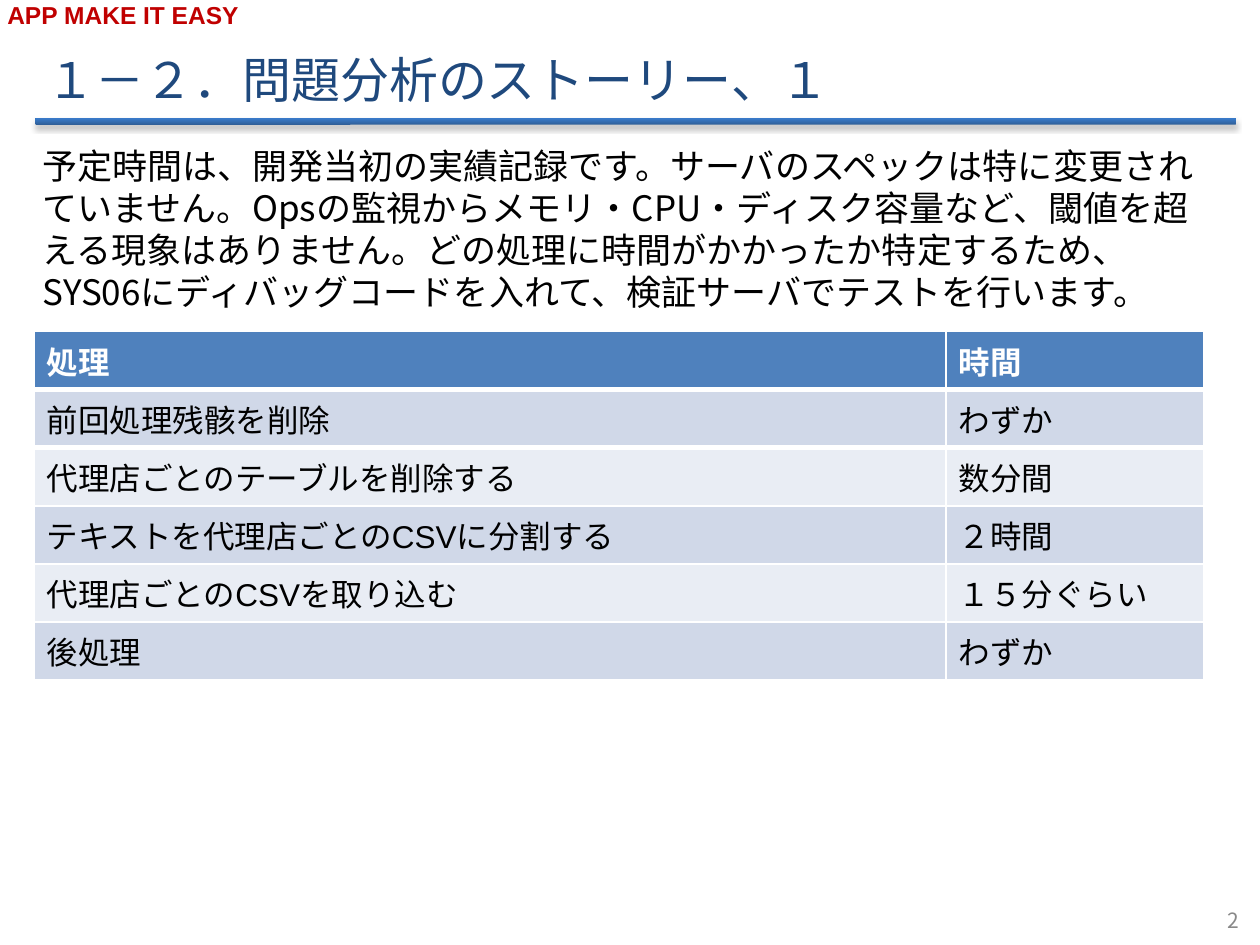
from dataclasses import dataclass

from lxml import etree
from pptx import Presentation
from pptx.dml.color import RGBColor
from pptx.enum.shapes import MSO_SHAPE
from pptx.enum.text import MSO_ANCHOR, MSO_AUTO_SIZE, PP_ALIGN
from pptx.oxml.ns import qn
from pptx.util import Inches, Pt

ROUNDED = MSO_SHAPE.ROUNDED_RECTANGLE
MIDDLE, TOP = MSO_ANCHOR.MIDDLE, MSO_ANCHOR.TOP
LEFT, RIGHT = PP_ALIGN.LEFT, PP_ALIGN.RIGHT
GROW = MSO_AUTO_SIZE.SHAPE_TO_FIT_TEXT
NO_FIT = MSO_AUTO_SIZE.NONE


@dataclass(frozen=True)
class Theme:
    """Fonts, colours and type sizes of the slide."""
    latin: str = "Arial"
    japanese: str = "Noto Sans CJK JP"
    slogan: str = "C00000"
    title: str = "1F497D"
    text: str = "000000"
    number: str = "898989"
    rule_start: str = "2F5F99"
    rule_end: str = "3A7CCB"
    header: str = "4F81BD"
    header_text: str = "FFFFFF"
    border: str = "FFFFFF"
    bands: tuple = ("D0D8E8", "E9EDF4")
    title_size: int = 28
    body_size: int = 20
    table_size: int = 18
    slogan_size: int = 14
    number_size: int = 12


THEME = Theme()

STEPS = [
    ("処理", "時間"),
    ("前回処理残骸を削除", "わずか"),
    ("代理店ごとのテーブルを削除する", "数分間"),
    ("テキストを代理店ごとのCSVに分割する", "２時間"),
    ("代理店ごとのCSVを取り込む", "１５分ぐらい"),
    ("後処理", "わずか"),
]


def add_run(paragraph, text, size, color, font=THEME.japanese, bold=False):
    """Add a formatted run with its Latin and East Asian fonts."""
    run = paragraph.add_run()
    run.text = text
    run.font.size = Pt(size)
    run.font.bold = bold
    run.font.name = font
    run.font.color.rgb = RGBColor.from_string(color)
    east_asian = etree.SubElement(run._r.get_or_add_rPr(), qn("a:ea"))
    east_asian.set("typeface", THEME.japanese)


def add_text(slide, box, align=LEFT, anchor=TOP, fit=GROW):
    """Add a wrapping text box and return its first paragraph."""
    frame = slide.shapes.add_textbox(*map(Inches, box)).text_frame
    frame.word_wrap = True
    frame.auto_size = fit
    frame.vertical_anchor = anchor
    paragraph = frame.paragraphs[0]
    paragraph.alignment = align
    return paragraph


def add_rule(slide, box):
    """Add the shaded bar under the title."""
    rule = slide.shapes.add_shape(ROUNDED, *map(Inches, box))
    rule.line.fill.background()
    rule.fill.gradient()
    rule.fill.gradient_angle = 90
    for stop, color in zip(rule.fill.gradient_stops, (THEME.rule_start, THEME.rule_end)):
        stop.color.rgb = RGBColor.from_string(color)
    rule.shadow.inherit = False
    effects = rule._element.spPr.find(qn("a:effectLst"))
    shadow = etree.SubElement(effects, qn("a:outerShdw"), blurRad=str(Pt(3.1)),
                              dist=str(Pt(1.8)), dir="5400000", rotWithShape="0")
    color = etree.SubElement(shadow, qn("a:srgbClr"), val="000000")
    etree.SubElement(color, qn("a:alpha"), val="35000")


def add_slogan(slide, box):
    """Add the slogan in the top corner."""
    add_run(add_text(slide, box), "APP MAKE IT EASY", THEME.slogan_size,
            THEME.slogan, THEME.latin, True)


def add_title(slide, box):
    """Place and fill the title placeholder."""
    title = slide.shapes.title
    title.left, title.top, title.width, title.height = map(Inches, box)
    frame = title.text_frame
    frame.auto_size = NO_FIT
    frame.vertical_anchor = MIDDLE
    paragraph = frame.paragraphs[0]
    paragraph.alignment = LEFT
    paragraph.line_spacing = 1.1
    paragraph.space_before = Pt(THEME.title_size * 0.25)
    add_run(paragraph, "１－２．問題分析のストーリー、１", THEME.title_size, THEME.title)


def add_body(slide, box):
    """Add the explanatory paragraph."""
    paragraph = add_text(slide, box)
    paragraph.space_after = Pt(6)
    add_run(
        paragraph,
        "予定時間は、開発当初の実績記録です。サーバのスペックは特に変更されていません。"
        "Opsの監視からメモリ・CPU・ディスク容量など、閾値を超える現象はありません。"
        "どの処理に時間がかかったか特定するため、"
        "SYS06にディバッグコードを入れて、検証サーバでテストを行います。",
        THEME.body_size, THEME.text)


def add_border(cell, side, width):
    """Draw one border of a cell ahead of its fill."""
    line = etree.Element(qn(f"a:{side}"), w=str(Pt(width)))
    fill = etree.SubElement(line, qn("a:solidFill"))
    etree.SubElement(fill, qn("a:srgbClr"), val=THEME.border)
    properties = cell._tc.get_or_add_tcPr()
    properties.insert(len(properties.findall(qn("a:lnT"))), line)


def add_steps_table(slide, box, time_width):
    """Add the banded table of steps and their times."""
    table = slide.shapes.add_table(len(STEPS), 2, *map(Inches, box)).table
    table.columns[0].width = Inches(box[2] - time_width)
    table.columns[1].width = Inches(time_width)
    for row, values in enumerate(STEPS):
        is_header = row == 0
        fill = THEME.header if is_header else THEME.bands[(row - 1) % 2]
        color = THEME.header_text if is_header else THEME.text
        for column, value in enumerate(values):
            cell = table.cell(row, column)
            cell.fill.solid()
            cell.fill.fore_color.rgb = RGBColor.from_string(fill)
            add_run(cell.text_frame.paragraphs[0], value, THEME.table_size,
                    color, THEME.latin, is_header)
            if is_header:
                add_border(cell, "lnB", 3)
            elif row == 1:
                add_border(cell, "lnT", 3)


def add_slide_number(slide, box):
    """Add the page number in the bottom corner."""
    add_run(add_text(slide, box, RIGHT, MIDDLE, NO_FIT), "2",
            THEME.number_size, THEME.number)


def main():
    """Build and save the slide."""
    presentation = Presentation()
    presentation.slide_width, presentation.slide_height = Inches(10), Inches(7.5)
    slide = presentation.slides.add_slide(presentation.slide_layouts[5])
    add_rule(slide, (0.28, 0.94, 9.53, 0.05))
    add_slogan(slide, (-0.04, -0.05, 3.54, 0.34))
    add_slide_number(slide, (7.6, 7.1, 2.33, 0.4))
    add_body(slide, (0.24, 1.1, 9.38, 1.45))
    add_title(slide, (0.27, 0.3, 9, 0.61))
    add_steps_table(slide, (0.27, 2.63, 9.28, 2.77), 2.04)
    presentation.save("out.pptx")


if __name__ == "__main__":
    main()
